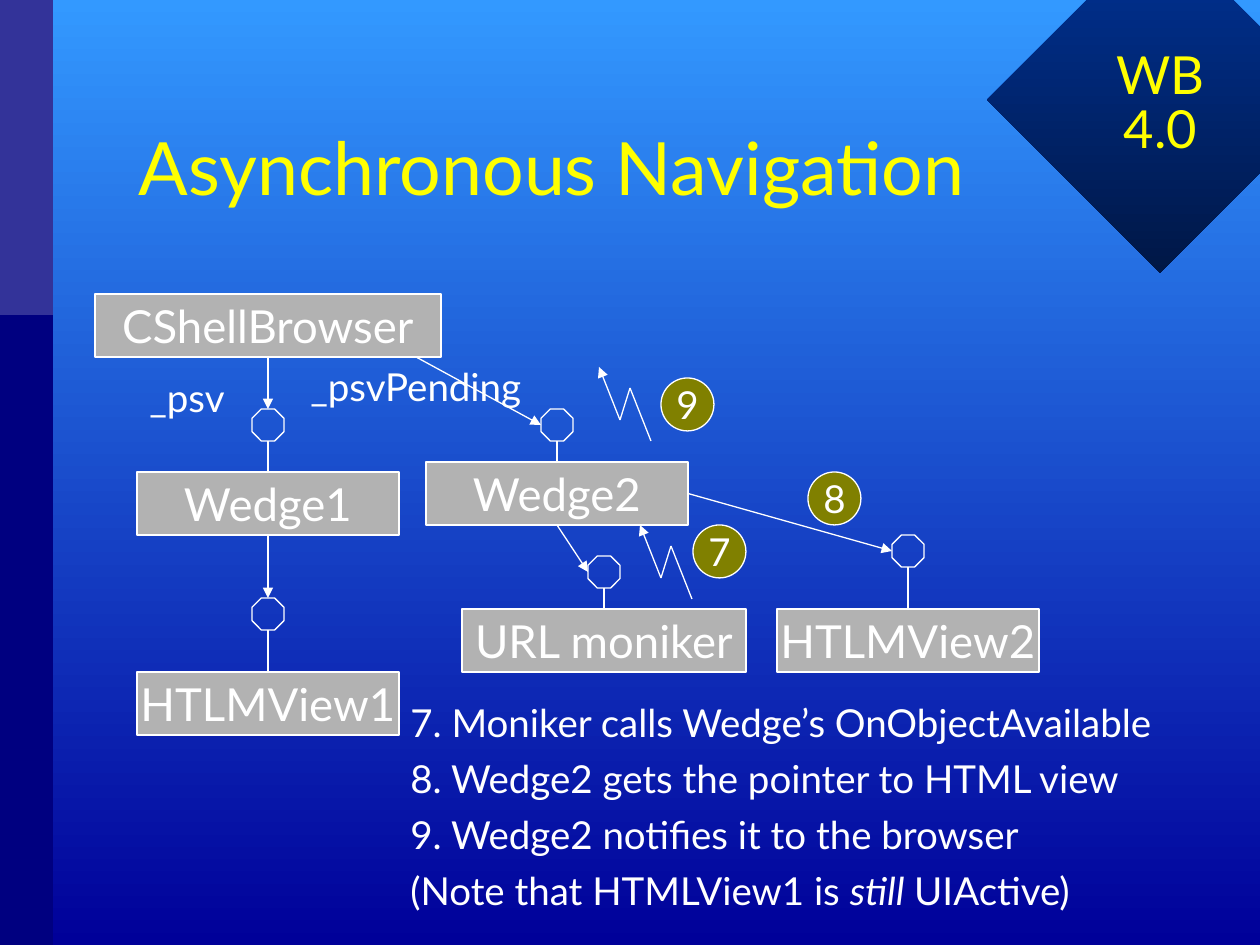
from lxml import etree
from pptx import Presentation
from pptx.dml.color import RGBColor
from pptx.enum.shapes import MSO_CONNECTOR, MSO_SHAPE
from pptx.enum.text import MSO_ANCHOR, PP_ALIGN
from pptx.oxml.ns import qn
from pptx.util import Pt

STRAIGHT = MSO_CONNECTOR.STRAIGHT
RECTANGLE, OVAL = MSO_SHAPE.RECTANGLE, MSO_SHAPE.OVAL
DIAMOND, OCTAGON = MSO_SHAPE.DIAMOND, MSO_SHAPE.OCTAGON
LEFT, CENTER = PP_ALIGN.LEFT, PP_ALIGN.CENTER
TOP, MIDDLE = MSO_ANCHOR.TOP, MSO_ANCHOR.MIDDLE
TOP_SIDE, BOTTOM_SIDE, RIGHT_SIDE = 0, 2, 3
TITLE_ONLY = 5
SCALE = 914400 / 126
WHITE, YELLOW, GREY, OLIVE = "FFFFFF", "FFFF00", "B2B2B2", "808000"
PORT = 32
HEADING = {"line_spacing": 0.85, "space_before": Pt(0)}
BODY = {"space_before": Pt(5.5)}
NODE = {"space_before": Pt(6.5)}


def px(length):
    return round(length * SCALE)


def color(value):
    return RGBColor.from_string(value)


def set_values(target, values):
    for name, value in values.items():
        setattr(target, name, value)


class SlideBuilder:
    font_name = "Lato"
    line_width = Pt(0.75)

    def __init__(self, page):
        self.page = page

    def gradient(self, fill, start, end):
        fill.gradient()
        fill.gradient_angle = 270
        for stop, value in zip(fill.gradient_stops, (start, end)):
            stop.color.rgb = color(value)

    def put_text(self, box, lines, size, ink=WHITE, align=LEFT, anchor=TOP, wrap=False, paragraph=BODY):
        frame = box.text_frame
        set_values(frame, {"word_wrap": wrap, "vertical_anchor": anchor})
        for index, spans in enumerate(lines):
            para = frame.add_paragraph() if index else frame.paragraphs[0]
            set_values(para, {"alignment": align, **paragraph})
            for text, style in spans:
                span = para.add_run()
                span.text = text
                set_values(span.font, {"name": self.font_name, "size": Pt(size), **style})
                span.font.color.rgb = color(ink)

    def title(self, text, left, top, width, height):
        box = self.page.shapes.title
        set_values(box, {"left": px(left), "top": px(top), "width": px(width), "height": px(height)})
        self.put_text(box, [[(text, {})]], 42, YELLOW, LEFT, MIDDLE, True, HEADING)

    def text(self, lines, left, top, width, height, size=22, **style):
        box = self.page.shapes.add_textbox(px(left), px(top), px(width), px(height))
        self.put_text(box, lines, size, **style)

    def shape(self, kind, left, top, width, height, fill=None, outline=WHITE):
        box = self.page.shapes.add_shape(kind, px(left), px(top), px(width), px(height))
        box.shadow.inherit = False
        if fill:
            box.fill.solid()
            box.fill.fore_color.rgb = color(fill)
        else:
            box.fill.background()
        if outline:
            box.line.color.rgb = color(outline)
            box.line.width = self.line_width
        else:
            box.line.fill.background()
        return box

    def node(self, text, left, top, width=262):
        box = self.shape(RECTANGLE, left, top, width, 63, GREY)
        self.put_text(box, [[(text, {})]], 26, align=CENTER, anchor=MIDDLE, paragraph=NODE)
        return box

    def badge(self, text, left, top):
        box = self.shape(OVAL, left, top, 53, 53, OLIVE)
        self.put_text(box, [[(text, {})]], 22, align=CENTER, anchor=MIDDLE)

    def port(self, center, top):
        self.shape(OCTAGON, center - PORT // 2, top, PORT, PORT)

    def line(self, start, end, arrow=False, source=None, target=None):
        link = self.page.shapes.add_connector(STRAIGHT, *map(px, start + end))
        link.line.color.rgb = color(WHITE)
        link.line.width = self.line_width
        properties = link.element.spPr
        if arrow:
            etree.SubElement(properties.find(qn("a:ln")), qn("a:tailEnd"), type="triangle")
        etree.SubElement(properties, qn("a:effectLst"))
        if source:
            link.begin_connect(*source)
        if target:
            link.end_connect(*target)

    def zigzag(self, left, top):
        points = [(left + x, top + y) for x, y in ((52, 74), (31, 21), (21, 53), (0, 0))]
        for start, end in zip(points, points[1:]):
            self.line(start, end, arrow=end == points[-1])


def main():
    deck = Presentation()
    deck.slide_width, deck.slide_height = px(1260), px(945)
    page = deck.slides.add_slide(deck.slide_layouts[TITLE_ONLY])
    builder = SlideBuilder(page)
    builder.gradient(page.background.fill, "3399FF", "000099")

    corner = builder.shape(DIAMOND, 987, -73, 346, 346, outline=None)
    builder.gradient(corner.fill, "003399", "001746")
    builder.shape(RECTANGLE, 0, 0, 53, 945, "000080", None)
    builder.shape(RECTANGLE, 0, 0, 53, 315, "333399", None)
    builder.title("Asynchronous Navigation", 126, 95, 1008, 157)
    builder.text([[("WB 4.0", {})]], 1061, 32, 199, 147, 30, ink=YELLOW,
                 align=CENTER, anchor=MIDDLE, wrap=True, paragraph=HEADING)

    browser = builder.node("CShellBrowser", 95, 294, 346)
    wedge1 = builder.node("Wedge1", 137, 472)
    wedge2 = builder.node("Wedge2", 426, 462)
    moniker = builder.node("URL moniker", 462, 609, 284)
    view1 = builder.node("HTLMView1", 137, 672)
    view2 = builder.node("HTLMView2", 777, 609)

    ports = [
        (wedge1, 268, 409, 472),
        (view1, 268, 598, 672),
        (wedge2, 557, 409, 462),
        (moniker, 604, 556, 609),
        (view2, 908, 535, 609),
    ]
    for box, center, top, box_top in ports:
        builder.port(center, top)
        builder.line((center, top + PORT), (center, box_top), target=(box, TOP_SIDE))

    builder.line((268, 357), (268, 409), True, (browser, BOTTOM_SIDE))
    builder.line((268, 535), (268, 598), True, (wedge1, BOTTOM_SIDE))
    builder.line((416, 357), (541, 425), True)
    builder.line((557, 525), (588, 572), True, (wedge2, BOTTOM_SIDE))
    builder.line((688, 493), (892, 551), True, (wedge2, RIGHT_SIDE))

    builder.text([[("_psv", {})]], 137, 368, 103, 59)
    builder.text([[("_psvPending", {})]], 298, 357, 253, 59)

    for text, left, top in (("7", 693, 525), ("8", 808, 472), ("9", 661, 378)):
        builder.badge(text, left, top)
    builder.zigzag(599, 367)
    builder.zigzag(640, 525)

    builder.text([
        [("7. Moniker calls Wedge’s OnObjectAvailable", {})],
        [("8. Wedge2 gets the pointer to HTML view", {})],
        [("9. Wedge2 notifies it to the browser", {})],
        [("(Note that HTMLView1 is ", {}), ("still", {"italic": True}), (" UIActive)", {})],
    ], 398, 693, 810, 227)

    deck.save("out.pptx")


if __name__ == "__main__":
    main()
